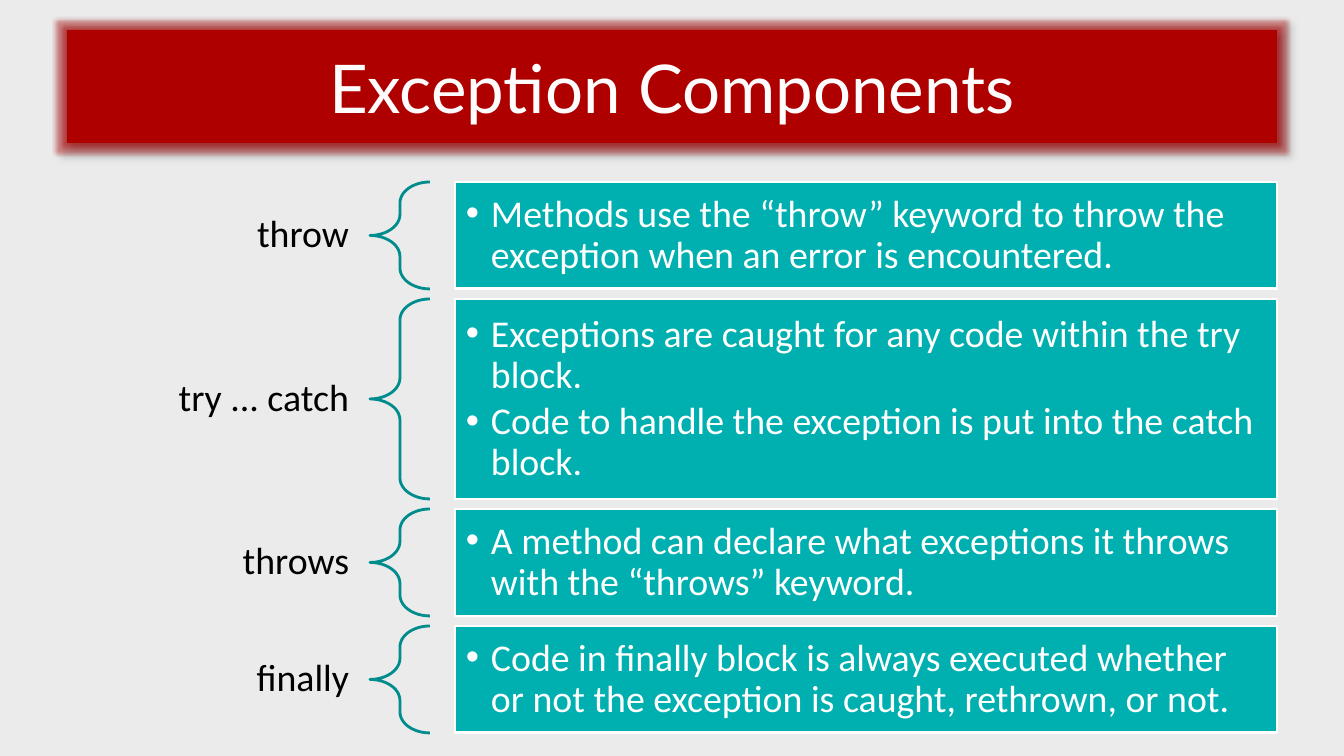
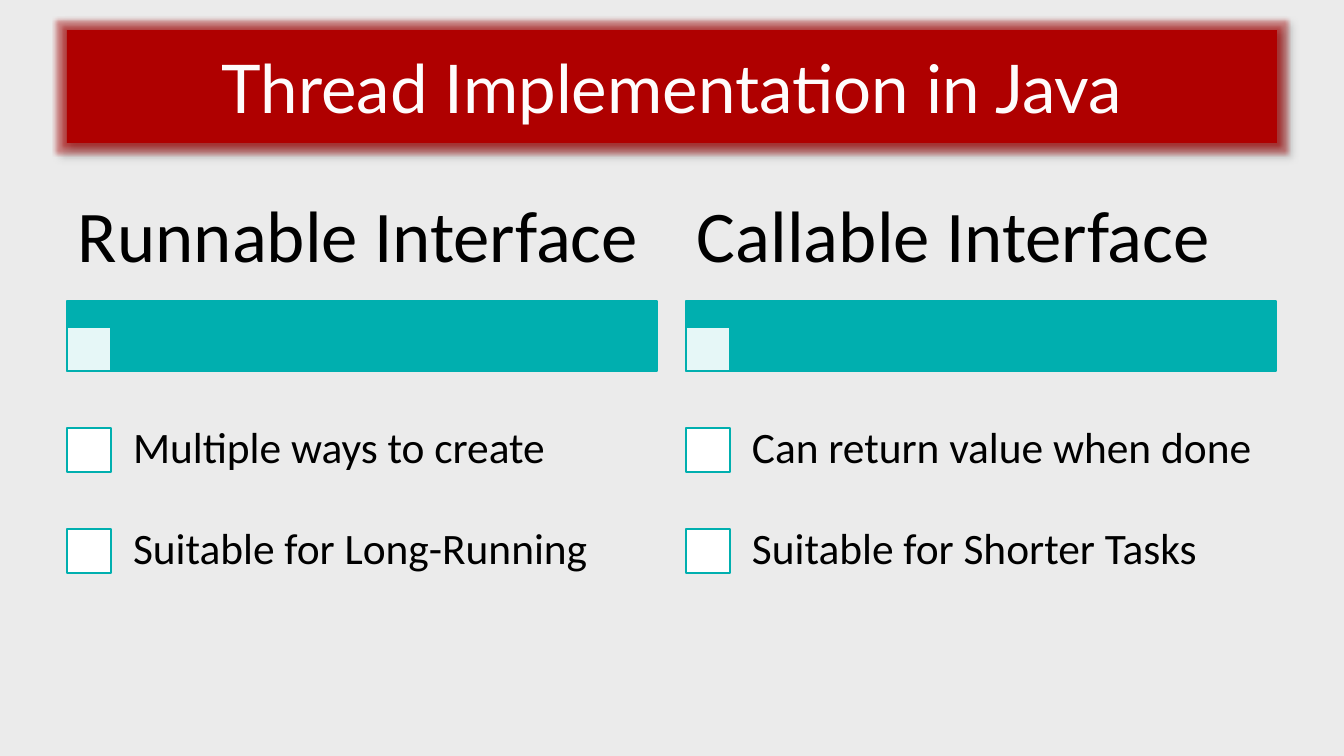
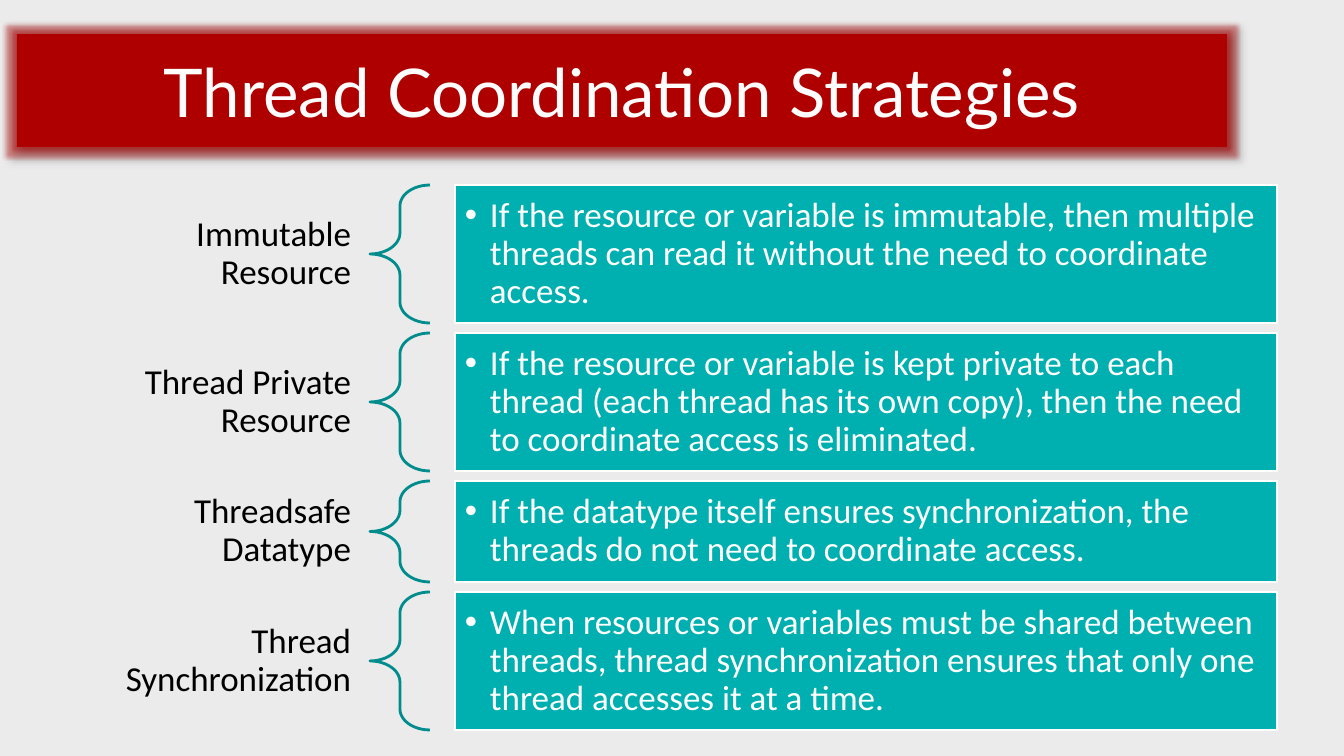
from lxml import etree
from pptx import Presentation
from pptx import util as u
from pptx.dml.color import RGBColor
from pptx.enum import shapes, text
from pptx.oxml.ns import qn

SCALE = 914400 / 100.8
COLORS = {
    "page": "EBEBEB", "red": "AF0000", "title": "FEFCFC", "teal": "00AFAF",
    "brace": "008C8C", "white": "FFFFFF", "black": "000000",
}
TITLE_SIZE = (1210, 113)
ALIGN = {"l": text.PP_ALIGN.LEFT, "c": text.PP_ALIGN.CENTER, "r": text.PP_ALIGN.RIGHT}
RECT = shapes.MSO_SHAPE.RECTANGLE
BRACE = shapes.MSO_SHAPE.LEFT_BRACE

COMPONENTS = {
    "title": "Exception Components", "title_at": (67, 30),
    "top": 182, "size": 27, "label_h": 58, "label_inset": 21, "inset": 11,
    "rows": [
        (107, "throw", ["Methods use the “throw” keyword to throw the exception when an error is encountered."]),
        (200, "try ... catch", ["Exceptions are caught for any code within the try block.",
                                "Code to handle the exception is put into the catch block."]),
        (107, "throws", ["A method can declare what exceptions it throws with the “throws” keyword."]),
        (107, "finally", ["Code in finally block is always executed whether or not the exception is caught, rethrown, or not."]),
    ],
}
THREADS = {
    "title": "Thread Implementation in Java", "title_at": (67, 30),
    "columns": [
        ("Runnable Interface", ["Multiple ways to create", "Suitable for Long-Running"]),
        ("Callable Interface", ["Can return value when done", "Suitable for Shorter Tasks"]),
    ],
}
STRATEGIES = {
    "title": "Thread Coordination Strategies", "title_at": (17, 34),
    "top": 185, "size": 25, "label_h": 92, "label_inset": 19, "inset": 10,
    "rows": [
        (138, "Immutable Resource", ["If the resource or variable is immutable, then multiple threads can read it without the need to coordinate access."]),
        (138, "Thread Private Resource", ["If the resource or variable is kept private to each thread (each thread has its own copy), then the need to coordinate access is eliminated."]),
        (101, "Threadsafe Datatype", ["If the datatype itself ensures synchronization, the threads do not need to coordinate access."]),
        (138, "Thread Synchronization", ["When resources or variables must be shared between threads, thread synchronization ensures that only one thread accesses it at a time."]),
    ],
}


def px(n):
    return u.Emu(round(n * SCALE))


def rgb(name):
    return RGBColor.from_string(COLORS[name])


def set_all(obj, values):
    for name, value in values.items():
        setattr(obj, name, value)


def add_xml(parent, tag, **attrs):
    return etree.SubElement(parent, qn(tag), attrs)


def add_alpha(parent, percent):
    add_xml(parent, "a:alpha", val=str(percent * 1000))


def add_box(s, at, kind=RECT, fill=None, line=None, alpha=None):
    sp = s.shapes.add_shape(kind, *map(px, at))
    sp.shadow.inherit = False
    if fill:
        sp.fill.solid()
        sp.fill.fore_color.rgb = rgb(fill)
        if alpha:
            add_alpha(sp._element.spPr.find(".//" + qn("a:srgbClr")), alpha)
    else:
        sp.fill.background()
    if line:
        sp.line.color.rgb = rgb(line)
        sp.line.width = u.Pt(2)
    else:
        sp.line.fill.background()
    return sp


def write(sp, lines, size, color="black", align="l", inset=(10, 5), font="Calibri",
          wrap=True, spacing=0.9, after=0.35, bullet=False):
    tf = sp.text_frame
    x, y = map(px, inset)
    set_all(tf, {"word_wrap": wrap, "vertical_anchor": text.MSO_ANCHOR.MIDDLE,
                 "margin_left": x, "margin_right": x, "margin_top": y, "margin_bottom": y})
    for i, line in enumerate(lines):
        p = tf.paragraphs[0] if i == 0 else tf.add_paragraph()
        set_all(p, {"alignment": ALIGN[align], "line_spacing": spacing,
                    "space_after": u.Pt(round(size * after))})
        if bullet:
            pPr = p._p.get_or_add_pPr()
            pPr.set("marL", str(px(25)))
            pPr.set("indent", str(px(-25)))
            add_xml(pPr, "a:buFont", typeface="Arial")
            add_xml(pPr, "a:buChar", char="•")
        r = p.add_run()
        set_all(r, {"text": line})
        set_all(r.font, {"name": font, "size": u.Pt(size)})
        r.font.color.rgb = rgb(color)


def add_text(s, at, line, size, **style):
    sp = s.shapes.add_textbox(*map(px, at))
    write(sp, [line], size, **style)


def add_title(s, slide):
    sp = add_box(s, slide["title_at"] + TITLE_SIZE, fill="red")
    effects = sp._element.spPr.find(qn("a:effectLst"))
    glow = add_xml(effects, "a:glow", rad=str(u.Pt(5)))
    shadow = add_xml(effects, "a:outerShdw", blurRad=str(u.Pt(4)), dist=str(u.Pt(3)),
                     dir="2700000", algn="tl", rotWithShape="0")
    for effect, color in ((glow, "red"), (shadow, "black")):
        add_alpha(add_xml(effect, "a:srgbClr", val=COLORS[color]), 40)
    write(sp, [slide["title"]], 48, color="title", align="c", font="Lato",
          wrap=False, spacing=1.0, after=0)


def add_brace_rows(s, slide):
    y, size = slide["top"], slide["size"]
    for h, label, points in slide["rows"]:
        label_y = y + (h - slide["label_h"]) / 2
        add_text(s, (67, label_y, 303, slide["label_h"]), label, size,
                 align="r", inset=(slide["label_inset"], 7))
        brace = add_box(s, (370, y, 60, h), BRACE, line="brace")
        brace.adjustments[0] = 0.35
        box = add_box(s, (455, y, 822, h), fill="teal", line="white")
        write(box, points, size, color="white", inset=(slide["inset"],) * 2,
              after=0.15, bullet=True)
        y += h + 10


def add_checklists(s, slide):
    for i, (heading, items) in enumerate(slide["columns"]):
        x = 67 + 619 * i
        add_box(s, (x, 301, 590, 70), fill="teal", line="teal")
        add_box(s, (x, 327, 44, 44), fill="white", line="teal", alpha=90)
        add_text(s, (x, 176, 590, 125), heading, 52, inset=(11, 7))
        for j, item in enumerate(items):
            y = 399 + 101 * j
            add_box(s, (x, y + 29, 44, 44), fill="white", line="teal")
            add_text(s, (x + 42, y, 548, 101), item, 31, inset=(24, 24))


def main():
    prs = Presentation()
    set_all(prs, {"slide_width": px(1344), "slide_height": px(756)})
    background = prs.slide_master.background.fill
    background.solid()
    background.fore_color.rgb = rgb("page")
    for slide, add_body in ((COMPONENTS, add_brace_rows), (THREADS, add_checklists),
                            (STRATEGIES, add_brace_rows)):
        s = prs.slides.add_slide(prs.slide_layouts[6])
        add_title(s, slide)
        add_body(s, slide)
    prs.save("out.pptx")


if __name__ == "__main__":
    main()
